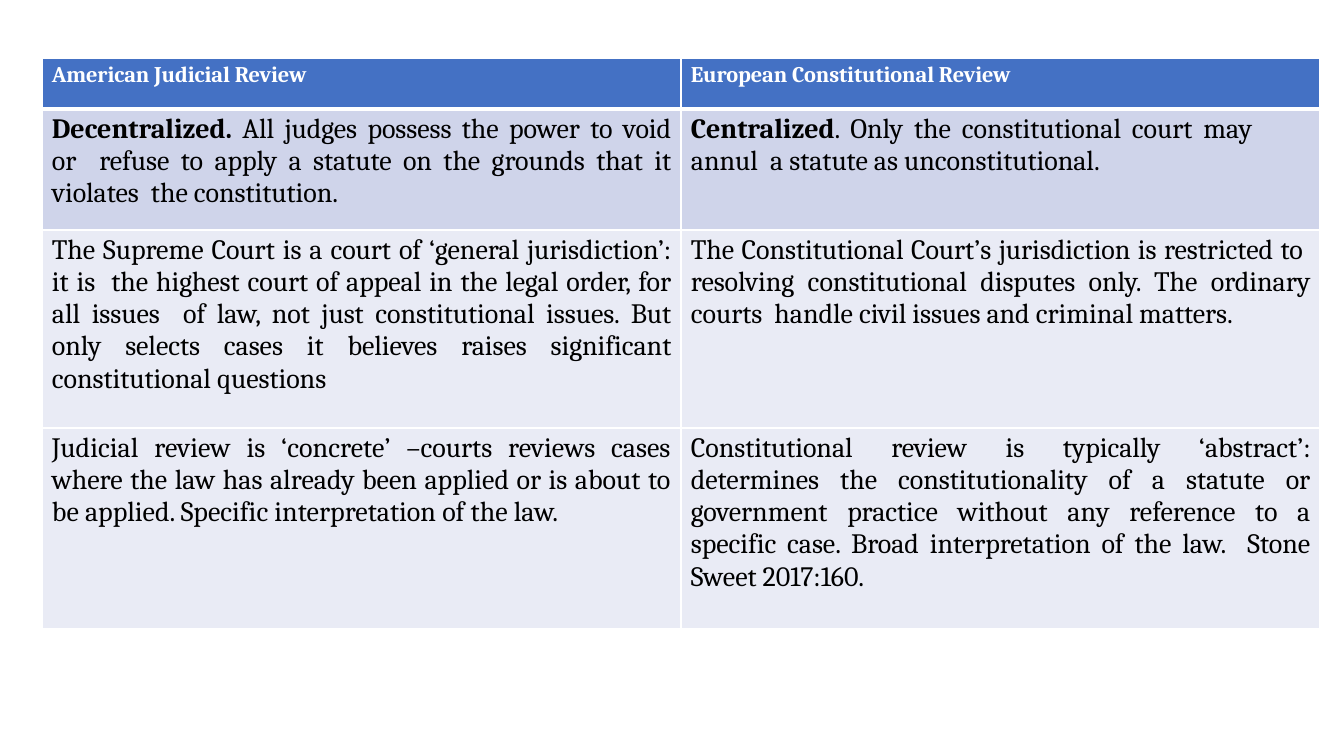
"""Build a slide comparing American and European constitutional review."""
from dataclasses import dataclass

from lxml import etree
from pptx import Presentation
from pptx.dml.color import RGBColor
from pptx.enum.text import PP_ALIGN
from pptx.oxml.ns import qn
from pptx.util import Pt

LEFT, JUSTIFY = PP_ALIGN.LEFT, PP_ALIGN.JUSTIFY
EMU_PER_PX = 914400 / 100.8
BLANK_LAYOUT = 6


@dataclass(frozen=True)
class Theme:
    """Colours, font and sizes in points."""
    font: str = "Cambria"
    header_size: int = 16
    body_size: int = 20
    space_before: float = 2.6
    border: str = "FFFFFF"
    header_text: str = "FFFFFF"
    body_text: str = "000000"
    row_fills: tuple = ("4471C4", "CFD4EA", "E9EBF5", "E9EBF5")


@dataclass(frozen=True)
class Entry:
    """Text of one cell, with an optional bold lead."""
    text: str
    lead: str = ""
    align: int = JUSTIFY
    tracking: int = -5
    right_inset: int = 10


ROW_HEIGHTS = (51, 121, 198, 201)
COLUMN_WIDTH = 639
COMPARISON = (
    (Entry("", "American Judicial Review", LEFT),
     Entry("", "European Constitutional Review", LEFT)),
    (Entry("All judges possess the power to void or  refuse to apply a statute on "
           "the grounds that it violates  the constitution.", "Decentralized. "),
     Entry(". Only the constitutional court may annul  a statute as "
           "unconstitutional.", "Centralized", right_inset=68)),
    (Entry("The Supreme Court is a court of ‘general jurisdiction’: it is  the highest "
           "court of appeal in the legal order, for all issues  of law, not just "
           "constitutional issues. But only selects cases it believes raises "
           "significant constitutional questions"),
     Entry("The Constitutional Court’s jurisdiction is restricted to  resolving "
           "constitutional disputes only. The ordinary courts  handle civil issues "
           "and criminal matters.")),
    (Entry("Judicial review is ‘concrete’ –courts reviews cases where the law has "
           "already been applied or is about to be applied. Specific interpretation "
           "of the law.", tracking=0),
     Entry("Constitutional review is typically ‘abstract’: determines the "
           "constitutionality of a statute or government practice without any "
           "reference to a specific case. Broad interpretation of the law.  Stone "
           "Sweet 2017:160.")),
)


def px(length):
    """Turn pixels into EMU."""
    return round(length * EMU_PER_PX)


class SlideBuilder:
    """Holds the theme and the current slide."""

    def __init__(self, slide, theme):
        self.slide = slide
        self.theme = theme

    def table(self, left, top, column_width, row_heights, entries):
        """Add a table with one fill per row."""
        columns = len(entries[0])
        grid = self.slide.shapes.add_table(
            len(entries), columns, px(left), px(top),
            px(column_width * columns), px(sum(row_heights))).table
        for column in grid.columns:
            column.width = px(column_width)
        for row, (height, row_entries) in enumerate(zip(row_heights, entries)):
            grid.rows[row].height = px(height)
            for column, entry in enumerate(row_entries):
                cell = grid.cell(row, column)
                self.borders(cell, row)
                cell.fill.solid()
                cell.fill.fore_color.rgb = RGBColor.from_string(self.theme.row_fills[row])
                self.cell_text(cell, entry, row == 0)

    def borders(self, cell, row):
        """Draw the cell borders, thicker between header and body."""
        thick_side = {0: "lnB", 1: "lnT"}.get(row)
        properties = cell._tc.get_or_add_tcPr()
        for side in ("lnL", "lnR", "lnT", "lnB"):
            width = Pt(3 if side == thick_side else 1)
            line = etree.SubElement(properties, qn(f"a:{side}"), w=str(width))
            fill = etree.SubElement(line, qn("a:solidFill"))
            etree.SubElement(fill, qn("a:srgbClr"), val=self.theme.border)

    def cell_text(self, cell, entry, is_header):
        """Write an entry into a cell."""
        theme = self.theme
        cell.margin_left, cell.margin_right = px(10), px(entry.right_inset)
        cell.margin_top, cell.margin_bottom = px(4), 0
        paragraph = cell.text_frame.paragraphs[0]
        paragraph.alignment = entry.align
        paragraph.space_before = Pt(theme.space_before)
        font = paragraph.font
        font.name = theme.font
        font.size = Pt(theme.header_size if is_header else theme.body_size)
        font.color.rgb = RGBColor.from_string(
            theme.header_text if is_header else theme.body_text)
        for text, bold in ((entry.lead, True), (entry.text, False)):
            if text:
                run = paragraph.add_run()
                run.text = text
                run.font.bold = bold
                run._r.get_or_add_rPr().set("spc", str(entry.tracking))


def main():
    """Build and save the slide."""
    deck = Presentation()
    deck.slide_width, deck.slide_height = px(1344), px(756)
    slide = deck.slides.add_slide(deck.slide_layouts[BLANK_LAYOUT])
    SlideBuilder(slide, Theme()).table(42, 58, COLUMN_WIDTH, ROW_HEIGHTS, COMPARISON)
    deck.save("out.pptx")


if __name__ == "__main__":
    main()
